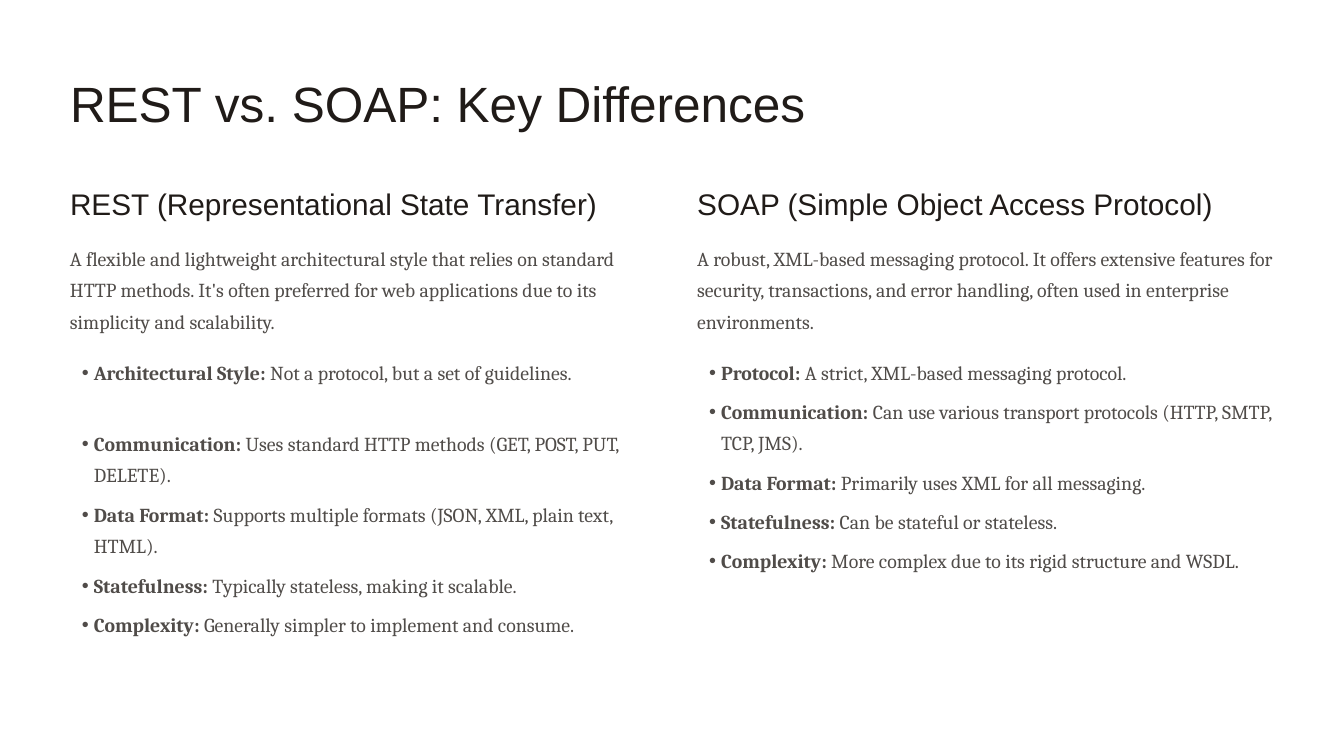
from lxml.etree import SubElement
from pptx import Presentation
from pptx.dml.color import RGBColor
from pptx.enum.shapes import MSO_SHAPE
from pptx.enum.text import MSO_ANCHOR, MSO_AUTO_SIZE, PP_ALIGN
from pptx.oxml.ns import qn
from pptx.util import Emu, Pt

PX = 9525
SLIDE_W, SLIDE_H = 1920, 1080
WHITE = RGBColor(0xFF, 0xFF, 0xFF)
INK = RGBColor(0x20, 0x1B, 0x18)
GRAY = RGBColor(0x50, 0x4C, 0x49)
BODY_SIZE, BODY_LINE = 21.2, 33.7
REST_GAP, SOAP_GAP = 8.7, 8.3
COLUMN_TOP, COLUMN_W = 263, 825

REST = (
    "REST (Representational State Transfer)",
    "A flexible and lightweight architectural style that relies on standard HTTP methods. "
    "It's often preferred for web applications due to its simplicity and scalability.",
    [
        ("Architectural Style:", " Not a protocol, but a set of guidelines."),
        ("Communication:", " Uses standard HTTP methods (GET, POST, PUT, DELETE)."),
        ("Data Format:", " Supports multiple formats (JSON, XML, plain text, HTML)."),
        ("Statefulness:", " Typically stateless, making it scalable."),
        ("Complexity:", " Generally simpler to implement and consume."),
    ],
)
SOAP = (
    "SOAP (Simple Object Access Protocol)",
    "A robust, XML-based messaging protocol. It offers extensive features for security, "
    "transactions, and error handling, often used in enterprise environments.",
    [
        ("Protocol:", " A strict, XML-based messaging protocol."),
        ("Communication:", " Can use various transport protocols (HTTP, SMTP, TCP, JMS)."),
        ("Data Format:", " Primarily uses XML for all messaging."),
        ("Statefulness:", " Can be stateful or stateless."),
        ("Complexity:", " More complex due to its rigid structure and WSDL."),
    ],
)


def add_panel(s, x, y, w, h):
    panel = s.shapes.add_shape(MSO_SHAPE.RECTANGLE, *(Emu(v * PX) for v in (x, y, w, h)))
    panel.shadow.inherit = False
    panel.fill.solid()
    panel.fill.fore_color.rgb = WHITE
    panel.line.fill.background()
    s.shapes._spTree.insert(2, panel._element)


def place(sp, x, y, w, h):
    sp.left, sp.top, sp.width, sp.height = (Emu(v * PX) for v in (x, y, w, h))
    tf = sp.text_frame
    tf.margin_left = tf.margin_top = tf.margin_right = tf.margin_bottom = 0
    tf.word_wrap = True
    tf.auto_size = MSO_AUTO_SIZE.NONE
    tf.vertical_anchor = MSO_ANCHOR.TOP
    return tf


def format_paragraph(p, font, size, color, line):
    p.alignment = PP_ALIGN.LEFT
    p.line_spacing = Pt(line)
    p.space_before = p.space_after = Pt(0)
    for r in p.runs:
        r.font.name = font
        r.font.size = Pt(size)
        r.font.color.rgb = color
        r.font.bold = False


def add_bullet(p):
    pPr = p._p.get_or_add_pPr()
    pPr.set("marL", str(34 * PX))
    pPr.set("indent", str(-17 * PX))
    SubElement(pPr, qn("a:buChar")).set("char", "•")


def fill_text(sp, box, text, font, size, color, line):
    tf = place(sp, *box)
    tf.text = text
    format_paragraph(tf.paragraphs[0], font, size, color, line)


def fill_list(sp, box, items, gap, first_gap):
    tf = place(sp, *box)
    for i, (label, detail) in enumerate(items):
        p = tf.paragraphs[0] if i == 0 else tf.add_paragraph()
        for text in (label, detail):
            p.add_run().text = text
        format_paragraph(p, "Cambria", BODY_SIZE, GRAY, BODY_LINE)
        p.runs[0].font.bold = True
        p.space_after = Pt(first_gap if i == 0 else gap)
        add_bullet(p)


def add_column(s, x, y, w, heading_sp, list_sp, content, gap, first_gap):
    heading, intro, items = content
    fill_text(heading_sp, (x, y, w, 58), heading, "Arial", 31.9, INK, 40)
    intro_sp = s.shapes.add_textbox(0, 0, 0, 0)
    fill_text(intro_sp, (x, y + 78, w, 145), intro, "Cambria", BODY_SIZE, GRAY, BODY_LINE)
    fill_list(list_sp, (x, y + 241, w, 461), items, gap, first_gap)


def main():
    prs = Presentation()
    prs.slide_width, prs.slide_height = Emu(SLIDE_W * PX), Emu(SLIDE_H * PX)
    s = prs.slides.add_slide(prs.slide_layouts[4])
    title, rest_head, rest_list, soap_head, soap_list = s.placeholders

    add_panel(s, 0, 0, SLIDE_W, SLIDE_H)
    fill_text(title, (100, 100, 1102, 94), "REST vs. SOAP: Key Differences",
              "Arial", 53.1, INK, 66.9)
    add_column(s, 100, COLUMN_TOP, COLUMN_W, rest_head, rest_list, REST,
               REST_GAP, REST_GAP + BODY_LINE)
    add_column(s, 996, COLUMN_TOP, COLUMN_W, soap_head, soap_list, SOAP,
               SOAP_GAP, SOAP_GAP)
    prs.save("out.pptx")


if __name__ == "__main__":
    main()
